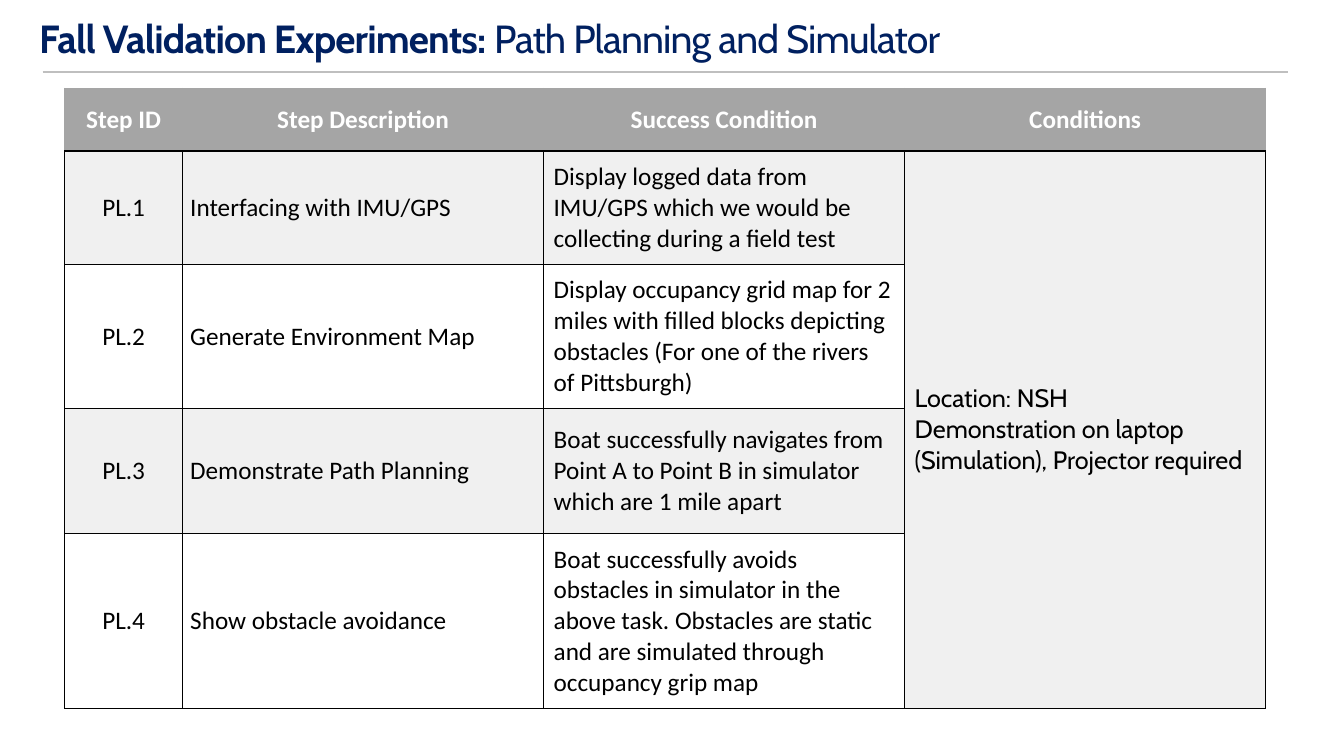
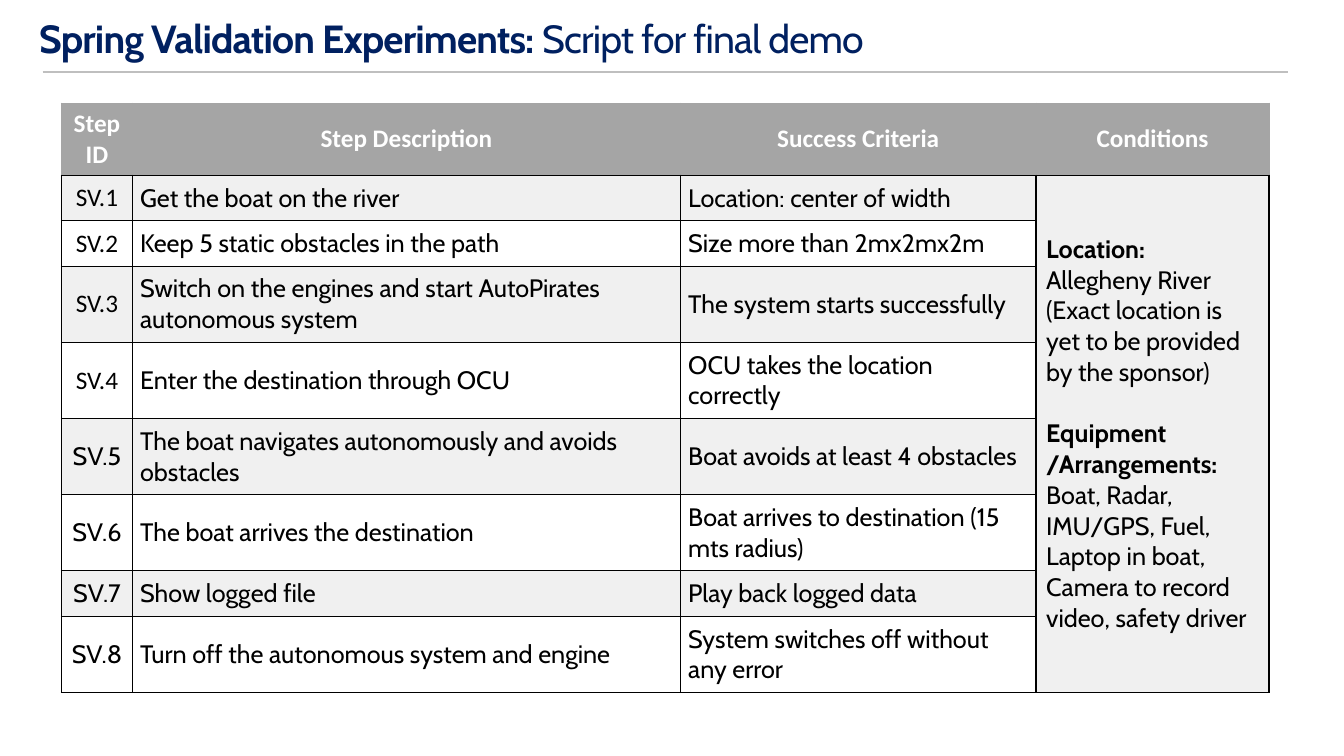
"""Build two validation experiment slides, each with a title and a table of steps."""
from dataclasses import dataclass

from lxml.etree import SubElement
from pptx import Presentation
from pptx.dml.color import RGBColor
from pptx.enum.shapes import MSO_CONNECTOR
from pptx.enum.text import MSO_ANCHOR, PP_ALIGN
from pptx.oxml.ns import qn
from pptx.util import Pt


@dataclass(frozen=True)
class Theme:
    navy: str = "002060"
    rule: str = "BFBFBF"
    header: str = "A5A5A5"
    band: str = "F0F0F0"
    white: str = "FFFFFF"
    black: str = "000000"
    heading_font: str = "Cabin"
    table_font: str = "Calibri"
    title_size: int = 28
    table_size: int = 18


theme = Theme()
narrow, wide, header_margin = (5.5, 5), (7.2, 7.2), (7.2, 3.6)
cabin, calibri = theme.heading_font, theme.table_font

slides = [
    {
        "title": ("Fall Validation Experiments: ", "Path Planning and Simulator"),
        "origin": (46.2, 63.2),
        "columns": [84.2, 257.9, 257.9, 257.9],
        "heights": [44.7, 81.2, 102.5, 89.5, 125],
        "header": ["Step ID", "Step Description", "Success Condition", "Conditions"],
        "margins": [narrow, narrow, wide],
        "body_font": calibri,
        "calibri_ids": 4,
        "rows": [
            ("PL.1", "Interfacing with IMU/GPS",
             "Display logged data from IMU/GPS which we would be collecting during a field test"),
            ("PL.2", "Generate Environment Map",
             "Display occupancy grid map for 2 miles with filled blocks depicting obstacles "
             "(For one of the rivers of Pittsburgh)"),
            ("PL.3", "Demonstrate Path Planning",
             "Boat successfully navigates from Point A to Point B in simulator which are 1 mile apart"),
            ("PL.4", "Show obstacle avoidance",
             "Boat successfully avoids obstacles in simulator in the above task. Obstacles are "
             "static and are simulated through occupancy grip map"),
        ],
        "conditions": [
            ("Location: NSH", False, 0),
            ("Demonstration on laptop (Simulation), Projector required", False, 0),
        ],
    },
    {
        "title": ("Spring Validation Experiments: ", "Script for final demo"),
        "origin": (43.9, 73.8),
        "columns": [50.7, 391.5, 254, 166.4],
        "heights": [51.4, 32.5, 32.5, 54.4, 54.4, 54.4, 54.4, 32.5, 54.4],
        "header": ["Step ID", "Step Description", "Success Criteria", "Conditions"],
        "margins": [narrow, narrow, narrow],
        "body_font": cabin,
        "calibri_ids": 4,
        "rows": [
            ("SV.1", "Get the boat on the river", "Location: center of width"),
            ("SV.2", "Keep 5 static obstacles in the path", "Size more than 2mx2mx2m"),
            ("SV.3", "Switch on the engines and start AutoPirates autonomous system",
             "The system starts successfully"),
            ("SV.4", "Enter the destination through OCU", "OCU takes the location correctly"),
            ("SV.5", "The boat navigates autonomously and avoids obstacles",
             "Boat avoids at least 4 obstacles"),
            ("SV.6", "The boat arrives the destination",
             "Boat arrives to destination (15 mts radius)"),
            ("SV.7", "Show logged file", "Play back logged data"),
            ("SV.8", "Turn off the autonomous system and engine",
             "System switches off without any error"),
        ],
        "conditions": [
            ("Location:", True, 0),
            ("Allegheny River", False, 0),
            ("(Exact location is yet to be provided by the sponsor)", False, 0),
            ("Equipment /Arrangements:", True, 22),
            ("Boat, Radar, IMU/GPS, Fuel, Laptop in boat, Camera to record video, safety driver",
             False, 0),
        ],
    },
]


def style_cell(cell, fill, margin, sides):
    """Set the borders, fill, insets and anchor of a cell."""
    properties = cell._tc.get_or_add_tcPr()
    for side, color in zip("LRTB", sides):
        line = SubElement(properties, qn(f"a:ln{side}"), w=str(Pt(1)))
        SubElement(SubElement(line, qn("a:solidFill")), qn("a:srgbClr"), val=color)
    cell.fill.solid()
    cell.fill.fore_color.rgb = RGBColor.from_string(fill)
    cell.margin_left = cell.margin_right = Pt(margin[0])
    cell.margin_top = cell.margin_bottom = Pt(margin[1])
    cell.vertical_anchor = MSO_ANCHOR.MIDDLE


def write_cell(cell, lines, font, color, align):
    """Write (text, bold, space before) lines into a cell."""
    frame = cell.text_frame
    for index, (text, bold, space) in enumerate(lines):
        paragraph = frame.add_paragraph() if index else frame.paragraphs[0]
        paragraph.text = text
        paragraph.alignment = align
        if space:
            paragraph.space_before = Pt(space)
        paragraph.font.name = font
        paragraph.font.size = Pt(theme.table_size)
        paragraph.font.bold = bold
        paragraph.font.color.rgb = RGBColor.from_string(color)


presentation = Presentation()
presentation.slide_width, presentation.slide_height = Pt(960), Pt(540)

for content in slides:
    slide = presentation.slides.add_slide(presentation.slide_layouts[6])

    title = slide.shapes.add_textbox(Pt(0), Pt(0), Pt(946), Pt(51))
    frame = title.text_frame
    frame.word_wrap = True
    frame.vertical_anchor = MSO_ANCHOR.MIDDLE
    frame.margin_left, frame.margin_top = Pt(28), Pt(12.2)
    frame.margin_right = frame.margin_bottom = Pt(4.3)
    paragraph = frame.paragraphs[0]
    paragraph.line_spacing = 0.9
    paragraph.font.name = theme.heading_font
    paragraph.font.size = Pt(theme.title_size)
    paragraph.font.color.rgb = RGBColor.from_string(theme.navy)
    for text, bold in zip(content["title"], (True, False)):
        run = paragraph.add_run()
        run.text = text
        run.font.bold = bold
        run._r.get_or_add_rPr().set("spc", "-60")

    rule = slide.shapes.add_connector(MSO_CONNECTOR.STRAIGHT, Pt(30.5), Pt(51.5), Pt(920), Pt(51.5))
    rule.line.color.rgb = RGBColor.from_string(theme.rule)
    rule.line.width = Pt(1.75)
    SubElement(rule._element.spPr, qn("a:effectLst"))

    columns, heights = content["columns"], content["heights"]
    left, top = content["origin"]
    table = slide.shapes.add_table(len(heights), len(columns), Pt(left), Pt(top),
                                   Pt(sum(columns)), Pt(sum(heights))).table
    table.first_row = table.horz_banding = False
    for column, width in zip(table.columns, columns):
        column.width = Pt(width)
    for row, height in zip(table.rows, heights):
        row.height = Pt(height)

    for index, text in enumerate(content["header"]):
        cell = table.cell(0, index)
        style_cell(cell, theme.header, header_margin, [theme.header] * 3 + [theme.black])
        write_cell(cell, [(text, True, 0)], calibri, theme.white, PP_ALIGN.CENTER)

    table.cell(1, 3).merge(table.cell(len(heights) - 1, 3))
    for number, texts in enumerate(content["rows"], 1):
        fill = theme.band if number % 2 else theme.white
        for index, (text, margin) in enumerate(zip(texts, content["margins"])):
            cell = table.cell(number, index)
            is_id = index == 0
            font = calibri if is_id and number <= content["calibri_ids"] else content["body_font"]
            style_cell(cell, fill, margin, [theme.black] * 4)
            write_cell(cell, [(text, False, 0)], font, theme.black,
                       PP_ALIGN.CENTER if is_id else PP_ALIGN.LEFT)
        style_cell(table.cell(number, 3), theme.band, wide, [theme.black] * 4)
    write_cell(table.cell(1, 3), content["conditions"], cabin, theme.black, PP_ALIGN.LEFT)

presentation.save("out.pptx")
